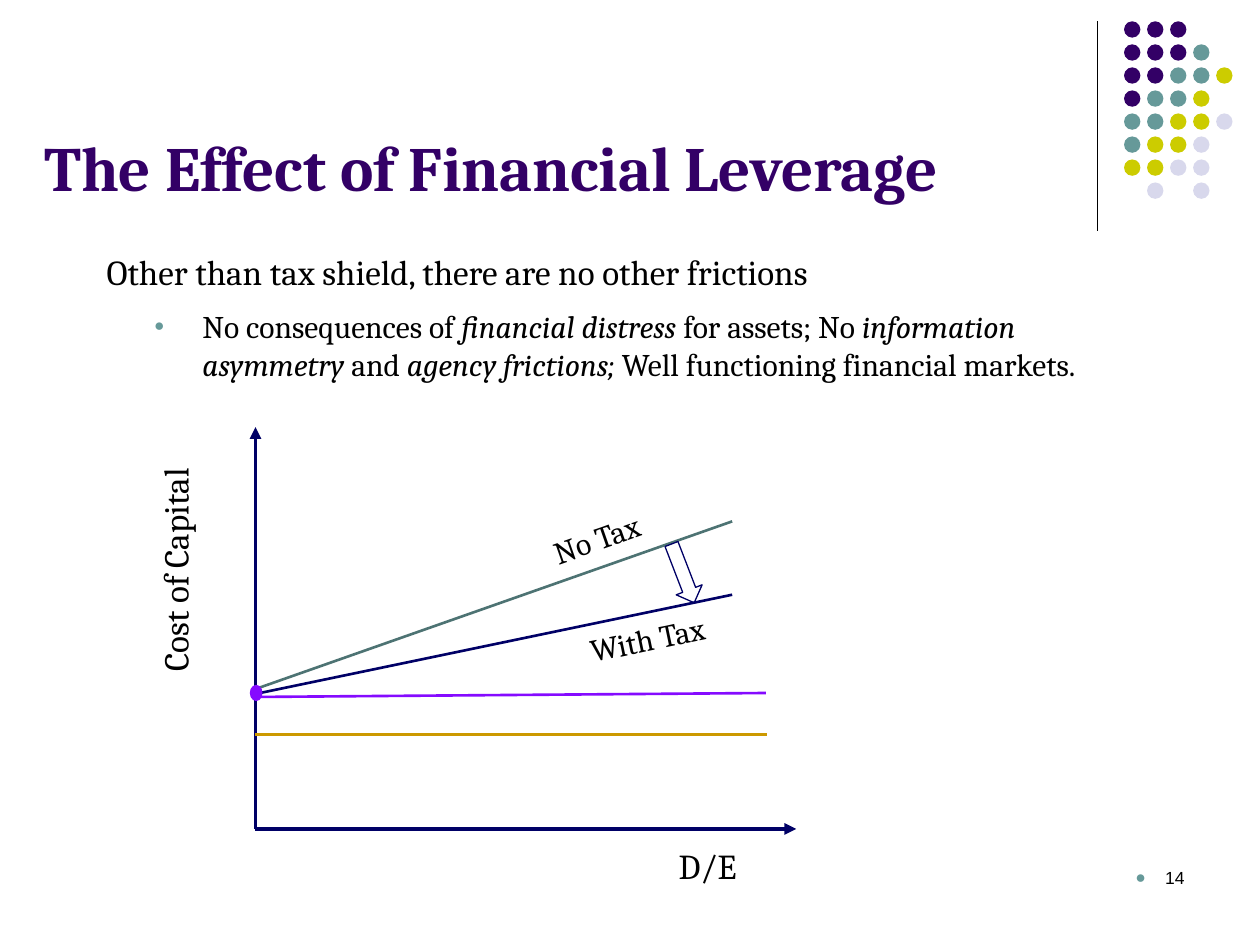
from lxml.etree import SubElement
from pptx import Presentation
from pptx.dml.color import RGBColor
from pptx.enum.shapes import MSO_CONNECTOR, MSO_SHAPE
from pptx.enum.text import MSO_ANCHOR, PP_ALIGN
from pptx.oxml.ns import qn
from pptx.util import Cm, Pt

PURPLE, TEAL, YELLOW, PALE = "330066", "669999", "CCCC00", "D8D8EC"
NAVY, VIOLET, GREEN, GOLD = "000066", "850AFF", "4D7373", "CC9900"


def rgb(value):
    """Turn a hex string into a colour."""
    return RGBColor.from_string(value)


def add_bullet(p, left, hang, size):
    """Give a paragraph a round hanging bullet."""
    pPr = p._p.get_or_add_pPr()
    pPr.set("marL", str(Cm(left)))
    pPr.set("indent", str(-Cm(hang)))
    clr = SubElement(pPr, qn("a:buClr"))
    SubElement(clr, qn("a:srgbClr"), val=TEAL)
    SubElement(pPr, qn("a:buSzPct"), val=str(size * 1000))
    SubElement(pPr, qn("a:buFont"), typeface="Arial")
    SubElement(pPr, qn("a:buChar"), char="●")


def write(p, text, size=18, font="Cambria", color="000000", bold=False,
          align=PP_ALIGN.LEFT, before=0, after=0):
    """Fill a paragraph; parts between asterisks are italic."""
    p.alignment = align
    p.space_before, p.space_after = Pt(before), Pt(after)
    for i, part in enumerate(text.split("*")):
        if part:
            r = p.add_run()
            r.text = part
            r.font.name, r.font.size = font, Pt(size)
            r.font.bold, r.font.italic = bold, i % 2 == 1
            r.font.color.rgb = rgb(color)


def add_box(s, x, y, w, h, rotation=0, anchor=MSO_ANCHOR.TOP, vert=None):
    """Add a wrapping text box and return its frame."""
    sp = s.shapes.add_textbox(Cm(x), Cm(y), Cm(w), Cm(h))
    sp.rotation = rotation
    tf = sp.text_frame
    tf.word_wrap = True
    tf.vertical_anchor = anchor
    if vert:
        tf._txBody.bodyPr.set("vert", vert)
    return tf


def add_line(s, x1, y1, x2, y2, color, width, arrow=False):
    """Draw a straight line, with an arrowhead at its end if asked."""
    c = s.shapes.add_connector(MSO_CONNECTOR.STRAIGHT, Cm(x1), Cm(y1), Cm(x2), Cm(y2))
    c.line.color.rgb = rgb(color)
    c.line.width = Pt(width)
    if arrow:
        SubElement(c.line._get_or_add_ln(), qn("a:tailEnd"), type="triangle")
    SubElement(c._element.spPr, qn("a:effectLst"))


def add_shape(s, kind, x, y, w, h, fill=None, line=None, rotation=0):
    """Add a preset shape with optional fill and outline."""
    sp = s.shapes.add_shape(kind, Cm(x), Cm(y), Cm(w), Cm(h))
    sp.shadow.inherit = False
    sp.rotation = rotation
    if fill:
        sp.fill.solid()
        sp.fill.fore_color.rgb = rgb(fill)
    else:
        sp.fill.background()
    if line:
        sp.line.color.rgb = rgb(line)
        sp.line.width = Pt(0.75)
    else:
        sp.line.fill.background()


def add_ornament(s, x, y, h):
    """Draw the rule and the dot grid in the corner."""
    add_line(s, x, y, x, y + h, "000000", 0.75)
    colors = {"P": PURPLE, "T": TEAL, "Y": YELLOW, "L": PALE}
    rows = ["PPP", "PPPT", "PPTTY", "PTTY", "TTYYL", "TYYL", "YYLL", " L L"]
    step = 0.77 * h / (len(rows) - 1)
    for i, row in enumerate(rows):
        for j, key in enumerate(row):
            if key in colors:
                add_shape(s, MSO_SHAPE.OVAL, x + 0.54 + j * step, y + i * step,
                          0.33, 0.33, colors[key])


def add_title(s, x, y, w, h):
    """Write the slide title at the bottom of its box."""
    tf = add_box(s, x, y, w, h, anchor=MSO_ANCHOR.BOTTOM)
    write(tf.paragraphs[0], "The Effect of Financial Leverage", size=36,
          color=PURPLE, bold=True)


def add_body(s, x, y, w, h):
    """Write the assumption and its bullet."""
    tf = add_box(s, x, y, w, h)
    write(tf.paragraphs[0], "Other than tax shield, there are no other frictions",
          size=20, after=6)
    p = tf.add_paragraph()
    p.level = 1
    add_bullet(p, 1.93, 0.97, 55)
    write(p, "No consequences of *financial distress *for assets; No *information "
          "asymmetry *and *agency frictions; *Well functioning financial markets.",
          before=2, after=2)


def add_diagram(s, x, y, w, h):
    """Draw cost of capital against leverage."""
    ax, base, end = x + 2.18, y + 8.1, x + 11.79
    add_line(s, ax, y + 5.44, x + 12.47, y + 5.36, VIOLET, 1.5)
    add_line(s, ax, base, ax, y, NAVY, 2.25, arrow=True)
    add_line(s, ax, base, x + w, base, NAVY, 2.25, arrow=True)
    add_line(s, ax, y + 6.2, x + 12.5, y + 6.2, GOLD, 1.5)
    add_line(s, ax, y + 5.28, end, y + 1.9, GREEN, 1.5)
    add_line(s, ax, y + 5.38, end, y + 3.38, NAVY, 1.5)
    add_shape(s, MSO_SHAPE.OVAL, x + 2.08, y + 5.21, 0.23, 0.3, VIOLET, VIOLET)
    add_shape(s, MSO_SHAPE.RIGHT_ARROW, x + 10.16, y + 2.67, 1.27, 0.56,
              line=NAVY, rotation=68.9)
    labels = [
        ("D/E", 20, 10.46, h - 1.12, 2.03, 1.12, 0, None),
        ("Cost of Capital", 20, 0, 0.38, 1.37, 4.8, 0, "vert270"),
        ("No Tax", 18, 7.9, 1.7, 2.54, 1.02, 340.7, None),
        ("With Tax", 18, 8.66, 3.73, 3.07, 1.02, 348.1, None),
    ]
    for text, size, dx, dy, bw, bh, rotation, vert in labels:
        tf = add_box(s, x + dx, y + dy, bw, bh, rotation, vert=vert)
        write(tf.paragraphs[0], text, size=size)


def add_number(s, x, y, w, h):
    """Write the bulleted slide number."""
    p = add_box(s, x, y, w, h).paragraphs[0]
    add_bullet(p, 0.6, 0.6, 100)
    write(p, "14", size=10, font="Arial", align=PP_ALIGN.RIGHT)


def main():
    """Build the slide and save it."""
    prs = Presentation()
    prs.slide_width, prs.slide_height = Cm(25.4), Cm(19.05)
    s = prs.slides.add_slide(prs.slide_layouts[6])
    add_ornament(s, 22.12, 0.43, 4.22)
    add_title(s, 0.64, 0.64, 21.39, 3.61)
    add_number(s, 18.21, 17.35, 5.92, 1.27)
    add_diagram(s, 2.97, 8.61, 13.08, 9.4)
    add_body(s, 1.9, 4.93, 20.52, 11.51)
    prs.save("out.pptx")


if __name__ == "__main__":
    main()
